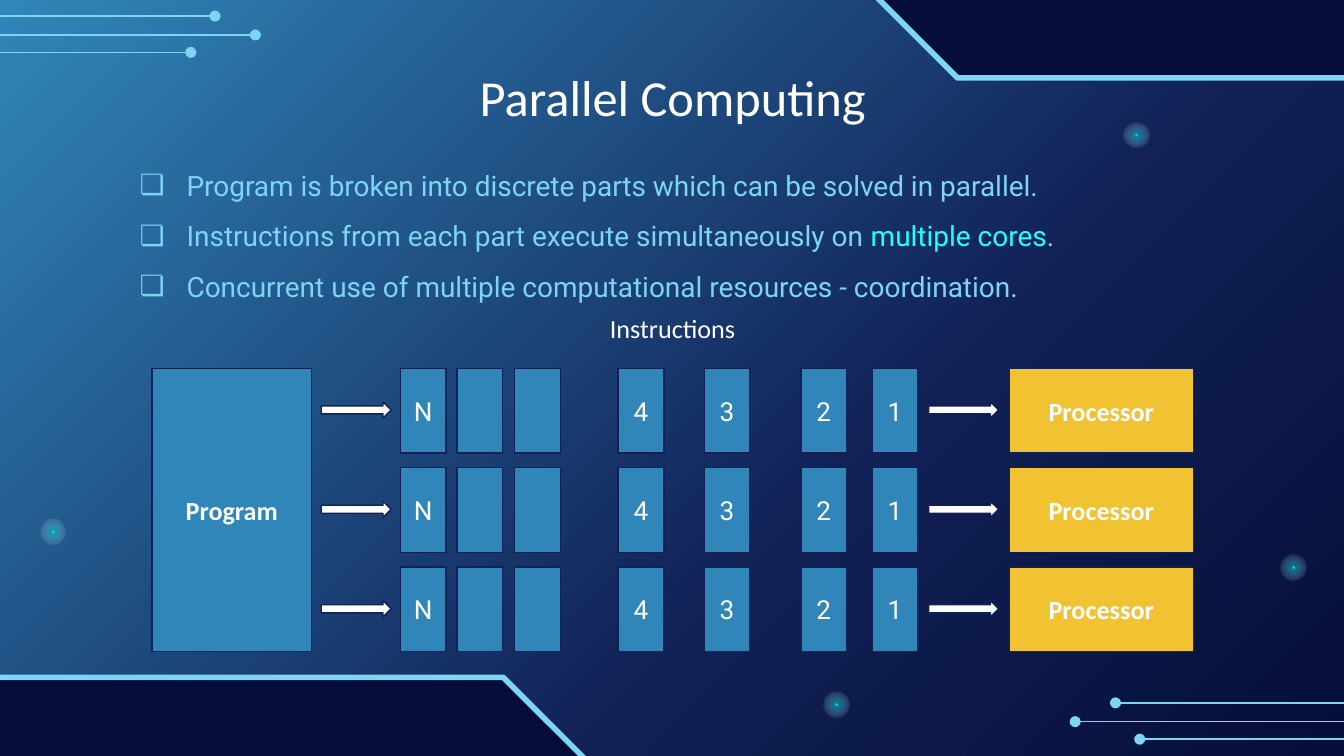
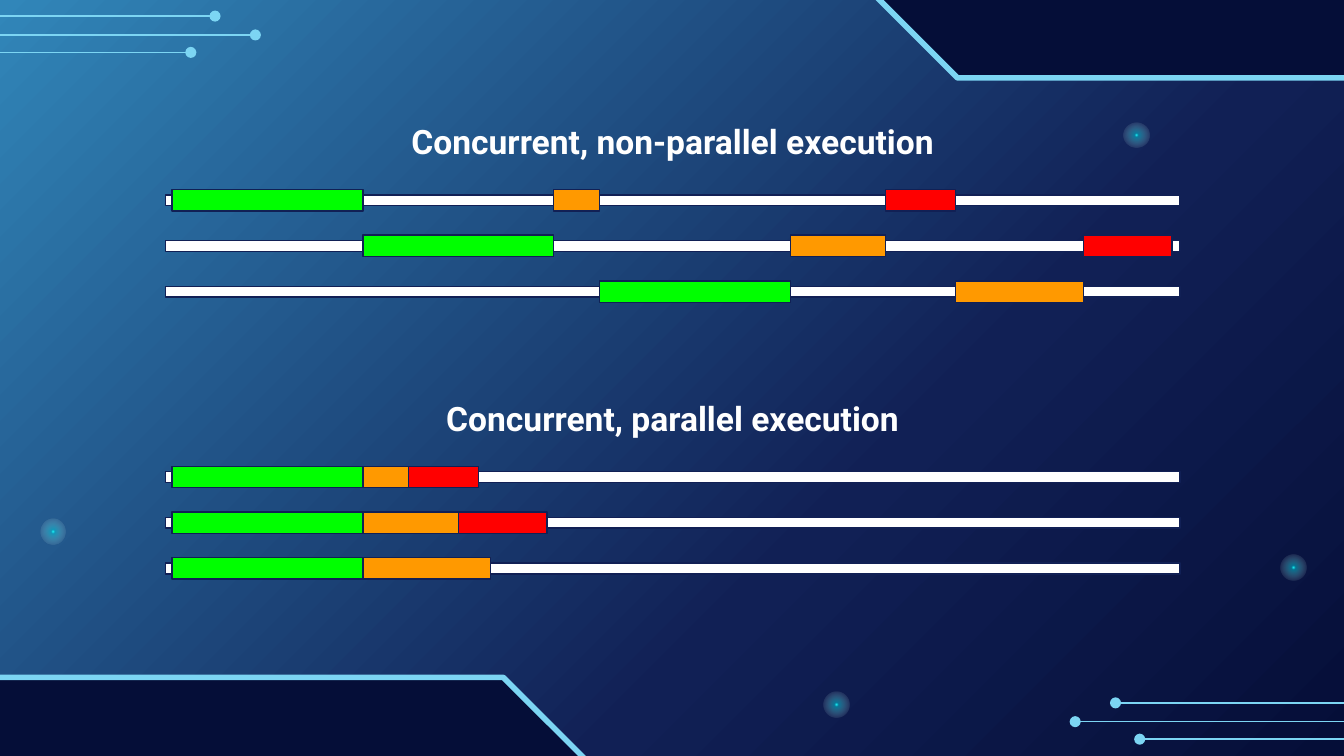
from lxml import etree
from pptx import Presentation
from pptx import util as u
from pptx.dml import color
from pptx.enum import shapes, text
from pptx.oxml import ns, parse_xml

SKY, BLUE, NAVY, NIGHT = "7CD5F3", "3186B9", "112055", "050E38"
WHITE, CYAN, GOLD = "FFFFFF", "21FFFF", "F1C232"
GREEN, ORANGE, RED = "00FF00", "FF9900", "FF0000"
RECT = shapes.MSO_SHAPE.RECTANGLE
ARROW = shapes.MSO_SHAPE.RIGHT_ARROW
rgb = color.RGBColor.from_string

BACKGROUND = f"""<a:gradFill {ns.nsdecls('a')}><a:gsLst>
<a:gs pos="0"><a:srgbClr val="{BLUE}"/></a:gs>
<a:gs pos="64000"><a:srgbClr val="{NAVY}"/></a:gs>
<a:gs pos="100000"><a:srgbClr val="{NIGHT}"/></a:gs>
</a:gsLst><a:lin ang="2700000" scaled="0"/></a:gradFill>"""

GLOW = f"""<a:gradFill {ns.nsdecls('a')}><a:gsLst>
<a:gs pos="0"><a:srgbClr val="{CYAN}"/></a:gs>
<a:gs pos="9000"><a:srgbClr val="05D8E7"><a:alpha val="48000"/></a:srgbClr></a:gs>
<a:gs pos="69000"><a:srgbClr val="{WHITE}"><a:alpha val="0"/></a:srgbClr></a:gs>
<a:gs pos="100000"><a:srgbClr val="{WHITE}"><a:alpha val="0"/></a:srgbClr></a:gs>
</a:gsLst><a:path path="circle">
<a:fillToRect l="50000" t="50000" r="50000" b="50000"/></a:path></a:gradFill>"""


def add_block(page, kind, at, fill, line=NAVY, width=0.75):
    block = page.shapes.add_shape(kind, *map(u.Inches, at))
    block.shadow.inherit = False
    block.fill.solid()
    block.fill.fore_color.rgb = rgb(fill)
    block.line.color.rgb = rgb(line)
    block.line.width = u.Pt(width)
    return block


def write(box, paragraphs, size, font, bold=False,
          align=text.PP_ALIGN.CENTER, anchor=text.MSO_ANCHOR.MIDDLE):
    frame = box.text_frame
    frame.word_wrap = True
    frame.vertical_anchor = anchor
    frame.margin_left = frame.margin_right = u.Inches(0.1)
    frame.margin_top = frame.margin_bottom = u.Inches(0.1)
    for index, runs in enumerate(paragraphs):
        para = frame.add_paragraph() if index else frame.paragraphs[0]
        para.alignment = align
        for words, shade in runs:
            span = para.add_run()
            span.text = words
            span.font.size = u.Pt(size)
            span.font.name = font
            span.font.bold = bold
            span.font.color.rgb = rgb(shade)
    return frame


deck = Presentation()
deck.slide_width = u.Inches(10)
deck.slide_height = deck.slide_width * 9 // 16
pages = [deck.slides.add_slide(deck.slide_layouts[6]) for _ in range(2)]

for page in pages:
    page.background.fill.solid()
    background = page._element.cSld.bg.bgPr
    background.replace(background[0], parse_xml(BACKGROUND))

    for left, top in [(6.13, 5.15), (9.53, 4.13), (8.36, 0.91), (0.3, 3.86)]:
        glow = add_block(page, shapes.MSO_SHAPE.OVAL, (left, top, 0.19, 0.19), CYAN)
        glow.line.fill.background()
        glow.rotation = 14.6
        solid = glow._element.spPr.find(ns.qn("a:solidFill"))
        glow._element.spPr.replace(solid, parse_xml(GLOW))

    for left, top, turn in [(-0.74, 5.04, 0), (6.42, -0.83, 180)]:
        corner = add_block(page, shapes.MSO_SHAPE.SNIP_2_SAME_RECTANGLE,
                           (left, top, 5.19, 1.41), NIGHT, SKY, 3)
        corner.adjustments[0], corner.adjustments[1] = 0.5, 0
        corner.rotation = turn

    for start, end, height in [(10.31, 8, 5.37), (10.79, 8.48, 5.5), (10.61, 8.3, 5.23),
                               (-0.41, 1.9, 0.26), (-0.9, 1.42, 0.39), (-0.71, 1.6, 0.12)]:
        trace = page.shapes.add_connector(
            shapes.MSO_CONNECTOR.STRAIGHT, *map(u.Inches, (start, height, end, height)))
        trace.line.color.rgb = rgb(SKY)
        trace.line.width = u.Pt(0.75)
        etree.SubElement(trace.line._get_or_add_ln(), ns.qn("a:tailEnd"), type="oval")
        etree.SubElement(trace._element.spPr, ns.qn("a:effectLst"))

computing, execution = pages

for words, at, size in [("Parallel Computing", (0.79, 0.4, 8.43, 0.63), 27),
                        ("Instructions", (4.09, 2.27, 1.83, 0.34), 14)]:
    box = computing.shapes.add_textbox(*map(u.Inches, at))
    write(box, [[(words, WHITE)]], size, "Calibri")

points = [
    [("Program is broken into discrete parts which can be solved in parallel.", SKY)],
    [("Instructions from each part execute simultaneously on ", SKY),
     ("multiple cores", CYAN), (".", SKY)],
    [("Concurrent use of multiple computational resources - coordination.", SKY)],
]
box = computing.shapes.add_textbox(*map(u.Inches, (0.79, 1.03, 8.43, 3.74)))
body = write(box, points, 15, "Roboto",
             align=text.PP_ALIGN.LEFT, anchor=text.MSO_ANCHOR.TOP)
for para in body.paragraphs:
    para.line_spacing = 1.5
    properties = para._p.get_or_add_pPr()
    properties.set("marL", str(u.Inches(0.5)))
    properties.set("indent", str(u.Inches(-0.35)))
    bullet_color = etree.SubElement(properties, ns.qn("a:buClr"))
    etree.SubElement(bullet_color, ns.qn("a:srgbClr"), val=SKY)
    etree.SubElement(properties, ns.qn("a:buFont"), typeface="Roboto")
    etree.SubElement(properties, ns.qn("a:buChar"), char="❏")

program = add_block(computing, RECT, (1.13, 2.74, 1.19, 2.11), BLUE)
write(program, [[("Program", WHITE)]], 14, "Calibri", True)

instructions = [(2.98, "N"), (3.4, ""), (3.83, ""), (4.6, "4"),
                (5.24, "3"), (5.96, "2"), (6.49, "1")]
for row in range(3):
    top = 2.74 + 0.74 * row
    for left, label in instructions:
        instruction = add_block(computing, RECT, (left, top, 0.34, 0.63), BLUE)
        if label:
            write(instruction, [[(label, WHITE)]], 14, "Roboto")
    for left in (2.39, 6.91):
        add_block(computing, ARROW, (left, top + 0.25, 0.52, 0.12), WHITE)
    processor = add_block(computing, RECT, (7.51, top, 1.37, 0.63), GOLD)
    write(processor, [[("Processor", WHITE)]], 14, "Calibri", True)

schedule = [(0, 1.42, GREEN), (1, 1.42, GREEN), (0, 0.34, ORANGE), (2, 1.42, GREEN),
            (1, 0.71, ORANGE), (0, 0.52, RED), (2, 0.95, ORANGE), (1, 0.66, RED)]
for heading, top, parallel in [("Concurrent, non-parallel execution", 0.86, False),
                               ("Concurrent, parallel execution", 2.92, True)]:
    box = execution.shapes.add_textbox(*map(u.Inches, (2.22, top, 5.57, 0.38)))
    write(box, [[(heading, WHITE)]], 18, "Roboto", True)
    for task in range(3):
        add_block(execution, RECT, (1.23, top + 0.59 + 0.34 * task, 7.55, 0.08), WHITE)
    free_from = [1.28] * 3
    for task, duration, shade in schedule:
        core = task if parallel else 0
        add_block(execution, RECT,
                  (free_from[core], top + 0.55 + 0.34 * task, duration, 0.16), shade)
        free_from[core] += duration

deck.save("out.pptx")
